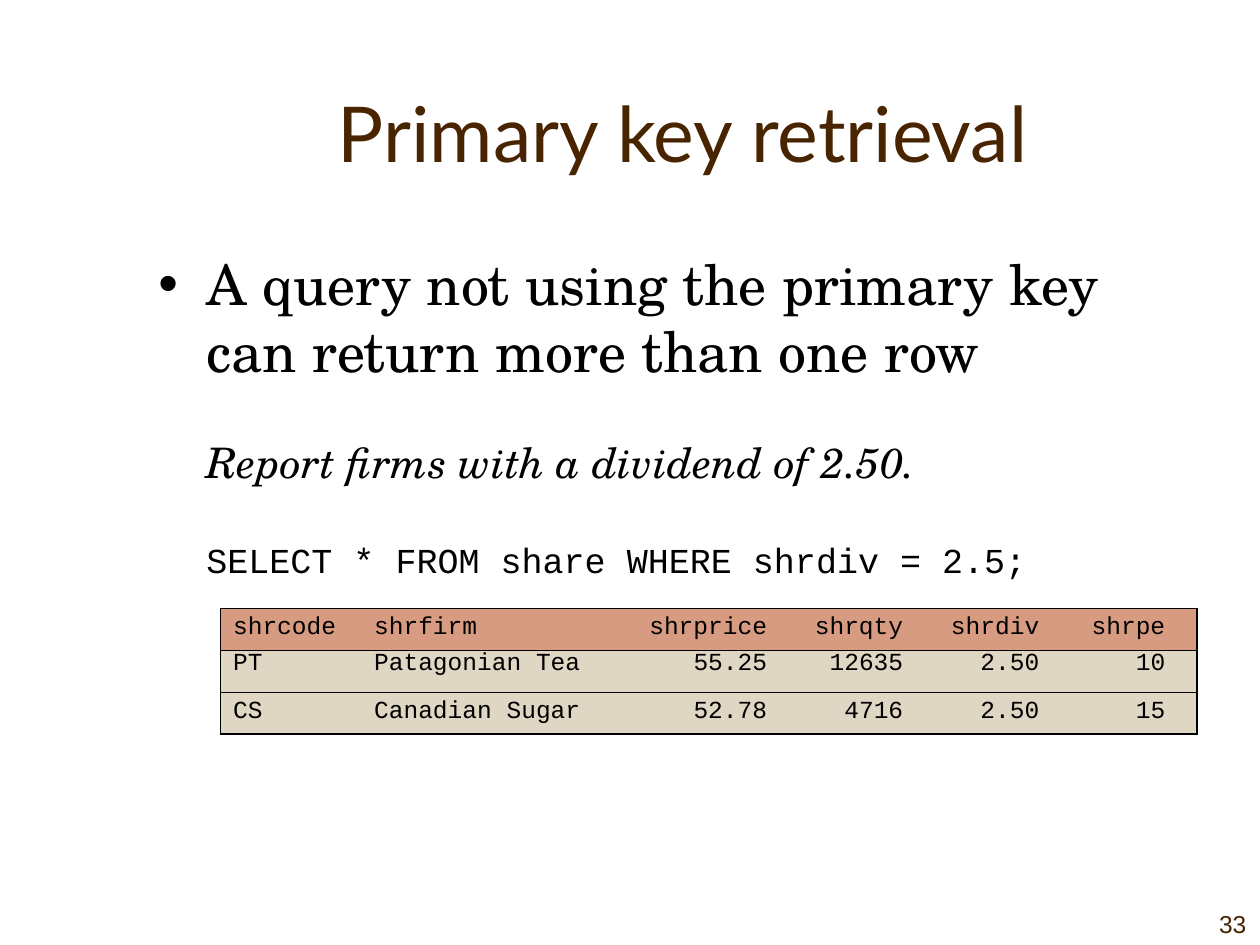
from lxml import etree
from pptx import Presentation
from pptx.enum import text
from pptx.oxml import ns
from pptx.util import Inches, Pt
from pptx.dml.color import RGBColor

COLORS = {"brown": "482400", "ink": "000000", "head": "D69B80", "row": "DFD6C3"}
HEADING, BODY, CODE, NUMBER = "Lato", "TeX Gyre Schola", "Courier New", "Arial"
LEFT, CENTER, RIGHT = text.PP_ALIGN.LEFT, text.PP_ALIGN.CENTER, text.PP_ALIGN.RIGHT
TOP, MIDDLE, BOTTOM = text.MSO_ANCHOR.TOP, text.MSO_ANCHOR.MIDDLE, text.MSO_ANCHOR.BOTTOM
NO_STYLE = "{2D5ABB26-0587-4C30-8999-92F81FD0307C}"


class Deck:
    """Holds the style and the current slide, and places elements by shares of its size."""

    def __init__(self, width, height):
        self.prs = Presentation()
        self.prs.slide_width, self.prs.slide_height = Inches(width), Inches(height)
        self.slide = self.prs.slides.add_slide(self.prs.slide_layouts[6])

    def place(self, left, top, width, height):
        w, h = self.prs.slide_width, self.prs.slide_height
        return [round(n) for n in (left * w, top * h, width * w, height * h)]

    def add_words(self, paragraph, words, font, size, color="ink", align=LEFT, italic=False, before=0):
        paragraph.alignment = align
        paragraph.space_before = Pt(before)
        run = paragraph.add_run()
        run.text = words
        run.font.name, run.font.size, run.font.italic = font, Pt(size), italic
        run.font.color.rgb = RGBColor.from_string(COLORS[color])

    def box(self, share, anchor=TOP, inset=0.1):
        frame = self.slide.shapes.add_textbox(*self.place(*share)).text_frame
        frame.word_wrap, frame.vertical_anchor = True, anchor
        frame.margin_left = frame.margin_right = Inches(inset)
        frame.margin_top = frame.margin_bottom = Inches(inset / 2)
        return frame

    def indent(self, paragraph, margin, bullet=None):
        props = paragraph._p.get_or_add_pPr()
        props.set("marL", str(Inches(margin)))
        props.set("indent", str(-Inches(margin) if bullet else 0))
        if bullet:
            etree.SubElement(props, ns.qn("a:buFont")).set("typeface", NUMBER)
            etree.SubElement(props, ns.qn("a:buChar")).set("char", bullet)

    def border(self, cell, sides):
        props = cell._tc.get_or_add_tcPr()
        for side in "LRTB":
            if side in sides:
                line = etree.SubElement(props, ns.qn(f"a:ln{side}"), w=str(Pt(1)))
                fill = etree.SubElement(line, ns.qn("a:solidFill"))
                etree.SubElement(fill, ns.qn("a:srgbClr"), val=COLORS["ink"])

    def table(self, share, rows, widths, spacing, first_number):
        left, top, width, height = self.place(*share)
        frame = self.slide.shapes.add_table(len(rows), len(widths), left, top, width, height)
        grid = frame.table
        grid.first_row = grid.horz_banding = False
        grid._tbl.tblPr.find(ns.qn("a:tableStyleId")).text = NO_STYLE
        for column, size in zip(grid.columns, widths):
            column.width = Inches(size)
        for r, values in enumerate(rows):
            for c, value in enumerate(values):
                cell, numeric = grid.cell(r, c), c >= first_number
                edges = {"L": c == 0, "R": c == len(widths) - 1,
                         "T": r < 2, "B": r in (0, len(rows) - 1)}
                self.border(cell, [side for side, drawn in edges.items() if drawn])
                cell.fill.solid()
                cell.fill.fore_color.rgb = RGBColor.from_string(COLORS["row" if r else "head"])
                cell.margin_right = Inches(0.25 if numeric else 0.1)
                paragraph = cell.text_frame.paragraphs[0]
                paragraph.line_spacing = spacing[r]
                self.add_words(paragraph, value, CODE, 14, align=RIGHT if numeric else LEFT, before=2.8)


deck = Deck(10, 7.5)

page = deck.box((0.925, 0.933, 0.074, 0.067), BOTTOM)
deck.add_words(page.paragraphs[0], "33", NUMBER, 14, "brown", RIGHT)

title = deck.box((0.117, 0.056, 0.85, 0.167), MIDDLE)
deck.add_words(title.paragraphs[0], "Primary key retrieval", HEADING, 44, "brown", CENTER)

lesson = deck.box((0.116, 0.257, 0.85, 0.576))
claim, request, query = lesson.paragraphs[0], lesson.add_paragraph(), lesson.add_paragraph()
deck.add_words(claim, "A query not using the primary key can return more than one row", BODY, 32, before=6.4)
deck.add_words(request, "Report firms with a dividend of 2.50.", BODY, 24, italic=True, before=30)
deck.add_words(query, "SELECT * FROM share WHERE shrdiv = 2.5;", CODE, 20, before=30)
for paragraph, bullet in ((claim, "•"), (request, None), (query, None)):
    deck.indent(paragraph, 0.38, bullet)

shares = [
    ("shrcode", "shrfirm", "shrprice", "shrqty", "shrdiv", "shrpe"),
    ("PT", "Patagonian Tea", "55.25", "12635", "2.50", "10"),
    ("CS", "Canadian Sugar", "52.78", "4716", "2.50", "15"),
]
deck.table((0.175, 0.644, 0.775, 0.133), shares, (1.12, 2.05, 1.42, 1.08, 1.08, 1),
           (0.88, 0.64, 0.88), first_number=2)

deck.prs.save("out.pptx")
